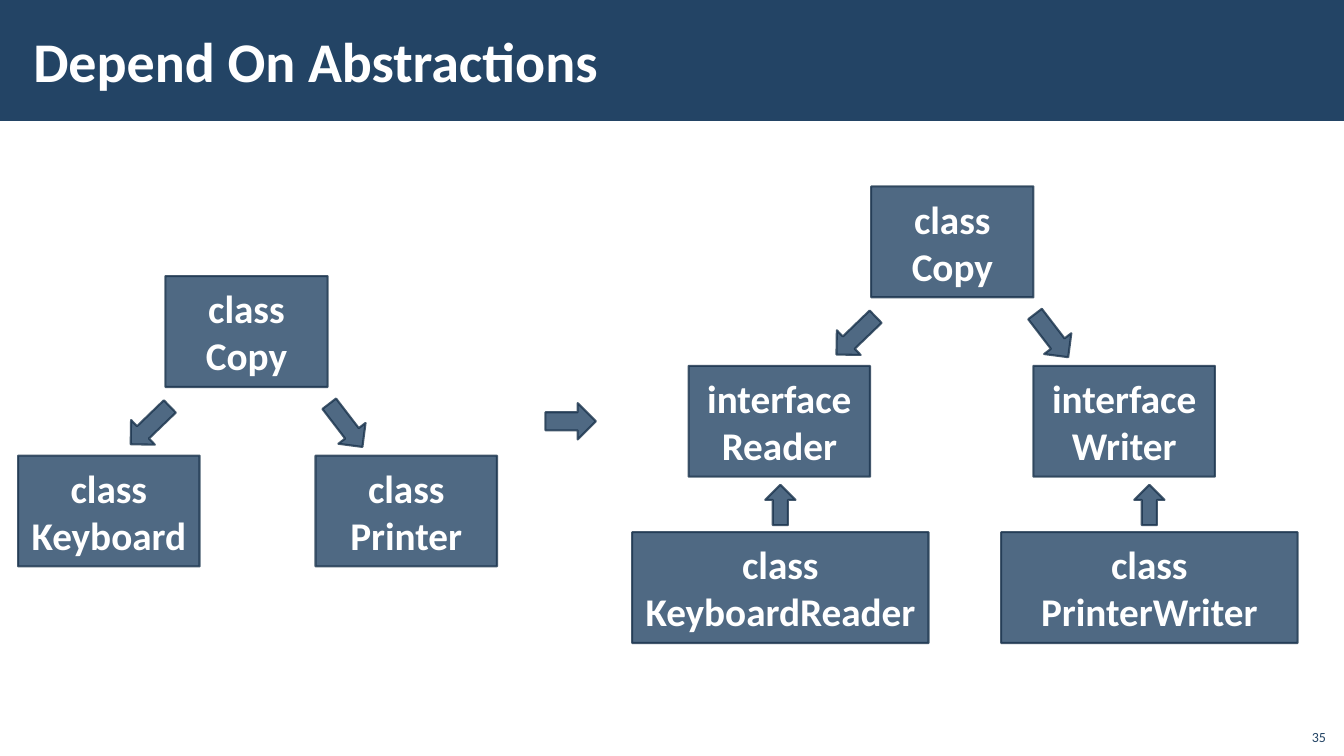
import pptx
import pptx.util
import pptx.dml.color
import pptx.enum.shapes
import pptx.enum.text
import pptx.oxml
import pptx.oxml.ns

Inches, Pt = pptx.util.Inches, pptx.util.Pt
SHAPE = pptx.enum.shapes.MSO_SHAPE
ALIGN = pptx.enum.text.PP_ALIGN
ANCHOR = pptx.enum.text.MSO_ANCHOR
NAVY, EDGE, WHITE = "234465", "1A334C", "FFFFFF"


def write(tf, text, size, color, bold, align, anchor):
    tf.text = text
    tf.word_wrap = True
    tf.vertical_anchor = anchor
    for p in tf.paragraphs:
        p.alignment = align
        for r in p.runs:
            r.font.name, r.font.size, r.font.bold = "Calibri", Pt(size), bold
            r.font.color.rgb = pptx.dml.color.RGBColor.from_string(color)


def add_part(kind, x, y, w, h, text="", rotation=0):
    """Add a translucent navy box or block arrow."""
    sp = s.shapes.add_shape(kind, Inches(x), Inches(y), Inches(w), Inches(h))
    sp.shadow.inherit = False
    sp.rotation = rotation
    sp.fill.solid()
    sp.fill.fore_color.rgb = pptx.dml.color.RGBColor.from_string(NAVY)
    sp.line.color.rgb = pptx.dml.color.RGBColor.from_string(EDGE)
    sp.line.width = Pt(1.5)
    for color in sp._element.spPr.iter(pptx.oxml.ns.qn("a:srgbClr")):
        color.append(pptx.oxml.parse_xml(
            '<a:alpha %s val="80000"/>' % pptx.oxml.ns.nsdecls("a")))
    if text:
        write(sp.text_frame, text, 28, WHITE, True, ALIGN.CENTER, ANCHOR.MIDDLE)


prs = pptx.Presentation()
prs.slide_width, prs.slide_height = Inches(13.33), Inches(7.5)
s = prs.slides.add_slide(prs.slide_layouts[5])

# Title on its band
band = s.shapes.add_shape(SHAPE.RECTANGLE, 0, 0, prs.slide_width, Inches(1.2))
band.shadow.inherit = False
band.fill.solid()
band.fill.fore_color.rgb = pptx.dml.color.RGBColor.from_string(NAVY)
band.line.fill.background()
title = s.shapes.title
band._element.addnext(title._element)
title.left, title.top = Inches(0.21), Inches(0.11)
title.width, title.height = Inches(10.63), Inches(0.97)
tf = title.text_frame
tf.margin_left = tf.margin_right = Inches(0.12)
tf.margin_top = tf.margin_bottom = Inches(0.04)
write(tf, "Depend On Abstractions", 40, WHITE, True, ALIGN.LEFT, ANCHOR.MIDDLE)

# Slide number
number = s.shapes.add_textbox(Inches(12.85), Inches(7.12), Inches(0.4), Inches(0.32))
write(number.text_frame, "35", 10, NAVY, False, ALIGN.RIGHT, ANCHOR.BOTTOM)

# Copy class above its two dependencies, before and after
BOX_H, COPY_W, CHILD_W, LEVEL = 1.1, 1.61, 1.8, 1.78
trees = [
    (1.64, 2.74, [(0.18, "class\nKeyboard"), (3.13, "class\nPrinter")]),
    (8.64, 1.85, [(6.83, "interface\nReader"), (10.25, "interface\nWriter")]),
]
for copy_x, copy_y, children in trees:
    add_part(SHAPE.RECTANGLE, copy_x, copy_y, COPY_W, BOX_H, "class\nCopy")
    for child_x, text in children:
        add_part(SHAPE.RECTANGLE, child_x, copy_y + LEVEL, CHILD_W, BOX_H, text)
    for dx, angle in [(-0.42, 136), (1.52, 52.5)]:
        add_part(SHAPE.RIGHT_ARROW, copy_x + dx, copy_y + 1.31, 0.54, 0.34,
                 rotation=angle)

# Implementations pointing up to their interfaces
IMPL_W, UP_W = 2.94, 0.3
for x, text in [(6.27, "class\nKeyboardReader"), (9.93, "class\nPrinterWriter")]:
    add_part(SHAPE.RECTANGLE, x, 5.28, IMPL_W, BOX_H, text)
    add_part(SHAPE.UP_ARROW, x + (IMPL_W - UP_W) / 2, 4.81, UP_W, 0.4)

# From the first design to the second
add_part(SHAPE.RIGHT_ARROW, 5.41, 4, 0.5, 0.36)

prs.save("out.pptx")
